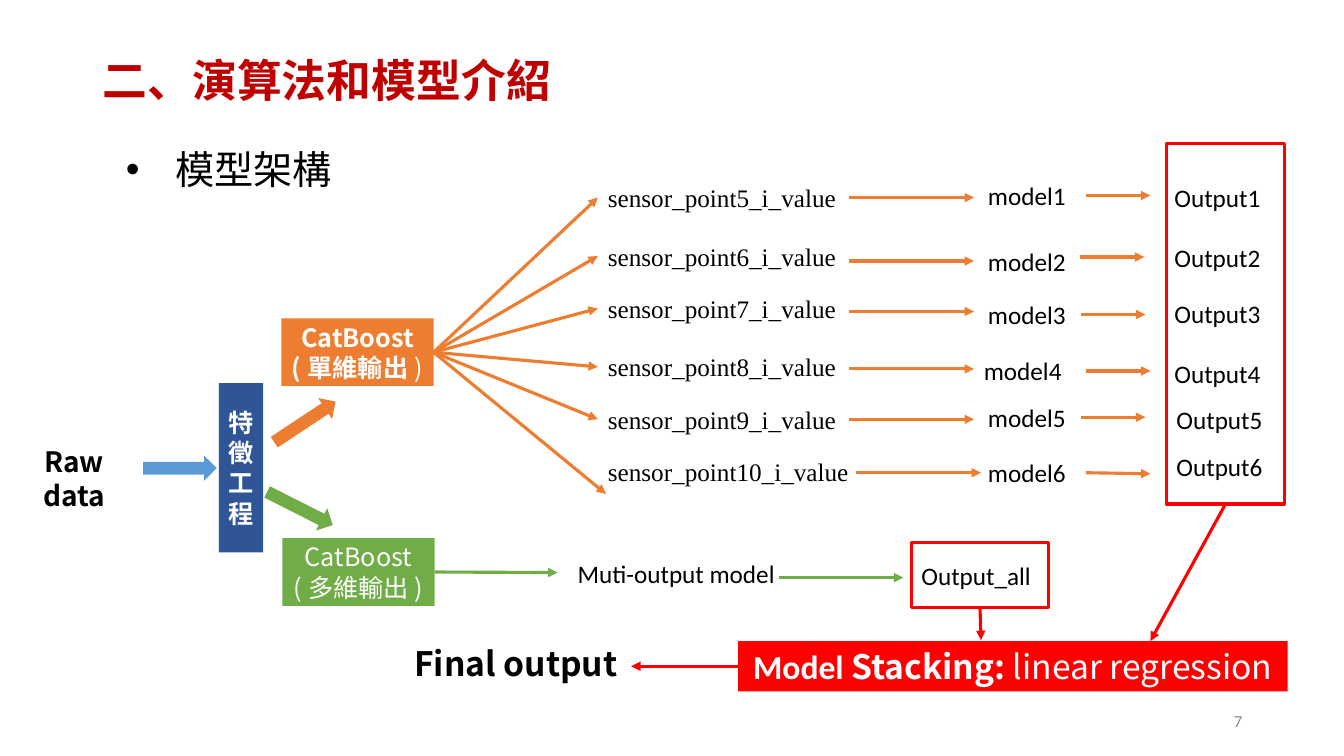
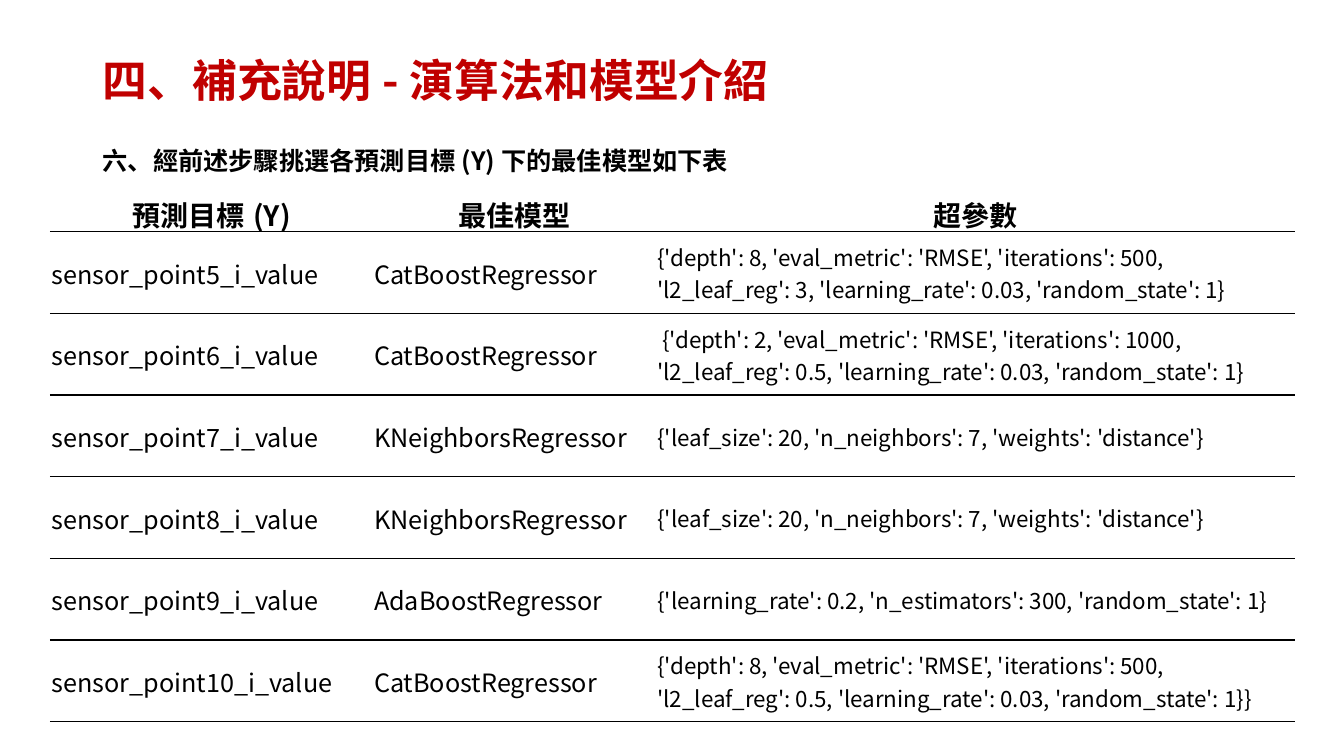
"""Build two slides: a model architecture diagram and a table of the best models."""
from lxml import etree
from pptx import Presentation
from pptx.dml.color import RGBColor
from pptx.enum.shapes import MSO_CONNECTOR, MSO_SHAPE
from pptx.enum.text import MSO_ANCHOR, PP_ALIGN
from pptx.oxml.ns import qn
from pptx.util import Inches, Pt

RECTANGLE, ARROW = MSO_SHAPE.RECTANGLE, MSO_SHAPE.RIGHT_ARROW
STRAIGHT = MSO_CONNECTOR.STRAIGHT
LEFT, CENTER, RIGHT = PP_ALIGN.LEFT, PP_ALIGN.CENTER, PP_ALIGN.RIGHT
TOP, MIDDLE = MSO_ANCHOR.TOP, MSO_ANCHOR.MIDDLE
LEFT_SIDE, BOTTOM_SIDE, RIGHT_SIDE = 1, 2, 3

SANS, LATIN, SERIF = "Noto Sans CJK SC", "Calibri", "Times New Roman"
BLACK, WHITE, GRAY = "000000", "FFFFFF", "8C8C8C"
TITLE_RED, RED, ORANGE, GREEN = "C00000", "FF0000", "ED7D31", "70AD47"
NAVY, BLUE = "2F5597", "5B9BD5"
color = RGBColor.from_string


def write(frame, text, size=18, font=SANS, ink=BLACK, bold=False, align=LEFT, anchor=TOP):
    """Fill a text frame, one paragraph per line of text."""
    frame.word_wrap = True
    frame.vertical_anchor = anchor
    frame.text = text
    for paragraph in frame.paragraphs:
        paragraph.alignment = align
        paragraph.font.size = Pt(size)
        paragraph.font.name = font
        paragraph.font.bold = bold
        paragraph.font.color.rgb = color(ink)
        properties = paragraph._p.pPr.find(qn("a:defRPr"))
        etree.SubElement(properties, qn("a:ea"), typeface=font)


def connect(slide, start, end, ink, source=None, target=None):
    """Draw an arrow, joined to (shape, side) pairs where given."""
    points = [Inches(value) for value in (*start, *end)]
    connector = slide.shapes.add_connector(STRAIGHT, *points)
    if source:
        connector.begin_connect(*source)
    if target:
        connector.end_connect(*target)
    connector.line.color.rgb = color(ink)
    connector.line.width = Pt(2.25)
    etree.SubElement(connector.line._get_or_add_ln(), qn("a:tailEnd"), type="triangle")
    etree.SubElement(connector._element.spPr, qn("a:effectLst"))


presentation = Presentation()
presentation.slide_width = Inches(13.33)
presentation.slide_height = Inches(7.5)

slides = []
for title in ("二、演算法和模型介紹", "四、補充說明-演算法和模型介紹"):
    slide = presentation.slides.add_slide(presentation.slide_layouts[6])
    box = slide.shapes.add_textbox(Inches(0.92), Inches(0.25), Inches(11.5), Inches(1.14))
    write(box.text_frame, title, 32, ink=TITLE_RED, bold=True, anchor=MIDDLE)
    box.text_frame.paragraphs[0].line_spacing = 0.9
    slides.append(slide)
diagram, summary = slides

blocks = {}
for name, kind, position, rotation, fill, outline in (
    ("single", RECTANGLE, (2.79, 3.16, 1.51, 0.67), 0, ORANGE, None),
    ("features", RECTANGLE, (2.17, 3.8, 0.44, 1.68), 0, NAVY, None),
    ("multi", RECTANGLE, (2.8, 5.34, 1.51, 0.67), 0, GREEN, None),
    ("stacking", RECTANGLE, (7.32, 6.36, 5.45, 0.5), 0, RED, None),
    ("outputs", RECTANGLE, (11.57, 1.42, 1.17, 3.58), 0, None, RED),
    ("output_all", RECTANGLE, (9.04, 5.38, 1.36, 0.65), 0, None, RED),
    ("raw arrow", ARROW, (1.42, 4.52, 0.73, 0.25), 0, BLUE, None),
    ("single arrow", ARROW, (2.66, 4.06, 0.73, 0.25), 326.5, ORANGE, None),
    ("multi arrow", ARROW, (2.61, 4.92, 0.73, 0.25), 26.8, GREEN, None),
):
    shape = diagram.shapes.add_shape(kind, *[Inches(value) for value in position])
    shape.shadow.inherit = False
    shape.rotation = rotation
    if fill:
        shape.fill.solid()
        shape.fill.fore_color.rgb = color(fill)
    else:
        shape.fill.background()
    if outline:
        shape.line.color.rgb = color(outline)
        shape.line.width = Pt(2.25)
    else:
        shape.line.fill.background()
    blocks[name] = shape

for name, text, size, bold in (
    ("single", "CatBoost\n(單維輸出", 18, True),
    ("features", "特徵工程", 18, True),
    ("multi", "CatBoost\n(多維輸出)", 18, False),
    ("stacking", "Model ", 24, True),
):
    write(blocks[name].text_frame, text, size, ink=WHITE, bold=bold, align=CENTER, anchor=MIDDLE)

closing = blocks["single"].text_frame.paragraphs[1].add_run()
closing.text = ")"
closing.font.bold = False
stacking_line = blocks["stacking"].text_frame.paragraphs[0]
stacking_line.runs[0].font.name = LATIN
stacking_line.add_run().text = "Stacking: "
method = stacking_line.add_run()
method.text = "linear regression"
method.font.bold = False

labels = {}
for text, position, size, font, ink, bold, align, anchor in (
    ("7", (9.42, 6.95, 3, 0.4), 12, LATIN, GRAY, False, RIGHT, MIDDLE),
    ("模型架構", (1.15, 1.39, 11.82, 0.57), 28, SANS, BLACK, False, LEFT, TOP),
    ("Raw data", (0.03, 4.36, 1.41, 0.77), 20, SANS, BLACK, True, CENTER, TOP),
    ("Muti-output model", (5.63, 5.49, 2.28, 0.4), 18, LATIN, BLACK, False, LEFT, TOP),
    ("Output_all", (9.04, 5.51, 2.28, 0.4), 18, LATIN, BLACK, False, LEFT, TOP),
    ("Final output", (4.01, 6.33, 2.45, 0.5), 24, SANS, BLACK, True, LEFT, TOP),
):
    box = diagram.shapes.add_textbox(*[Inches(value) for value in position])
    write(box.text_frame, text, size, font, ink, bold, align, anchor)
    labels[text] = box

bullet = labels["模型架構"].text_frame.paragraphs[0]._p.pPr
bullet.set("marL", str(Inches(0.49)))
bullet.set("indent", str(-Inches(0.49)))
bullet.insert(0, etree.Element(qn("a:buFont"), typeface="Arial"))
bullet.insert(1, etree.Element(qn("a:buChar"), char="•"))

# Each row: label tops, then the start and height of both arrows.
for number, (sensor_top, model_left, model_top, output_left, output_top,
             feed_left, feed_y, result_left, result_y) in enumerate((
    (1.76, 9.7, 1.74, 11.55, 1.76, 8.42, 1.96, 10.77, 1.94),
    (2.34, 9.7, 2.39, 11.55, 2.36, 8.42, 2.59, 10.71, 2.55),
    (2.86, 9.7, 2.92, 11.55, 2.91, 8.42, 3.09, 10.72, 3.12),
    (3.44, 9.66, 3.48, 11.55, 3.51, 8.42, 3.66, 10.77, 3.68),
    (3.96, 9.7, 3.94, 11.57, 3.96, 8.42, 4.16, 10.72, 4.14),
    (4.48, 9.7, 4.49, 11.57, 4.43, 8.49, 4.69, 10.77, 4.7),
), start=1):
    row = []
    for text, left, top, width, font in (
        (f"sensor_point{number + 4}_i_value", 5.93, sensor_top, 2.61 if number == 6 else 2.49, SERIF),
        (f"model{number}", model_left, model_top, 1.07, LATIN),
        (f"Output{number}", output_left, output_top, 1.2, LATIN),
    ):
        box = diagram.shapes.add_textbox(Inches(left), Inches(top), Inches(width), Inches(0.4))
        write(box.text_frame, text, font=font)
        row.append(box)
    sensor, model, output = row
    connect(diagram, (4.3, 3.5), (6.01, 4.9), ORANGE, (blocks["single"], RIGHT_SIDE),
            (sensor, LEFT_SIDE) if number < 6 else None)
    connect(diagram, (feed_left, feed_y), (feed_left + 1.24, feed_y), ORANGE,
            (sensor, RIGHT_SIDE) if number in (1, 5) else None)
    connect(diagram, (result_left, result_y), (result_left + 0.64, result_y), ORANGE,
            (model, RIGHT_SIDE) if number in (1, 6) else None)

for start, end, ink, source in (
    ((4.31, 5.68), (5.53, 5.68), GREEN, (blocks["multi"], RIGHT_SIDE)),
    ((7.73, 5.73), (8.96, 5.73), GREEN, None),
    ((9.72, 6.03), (9.73, 6.35), RED, (blocks["output_all"], BOTTOM_SIDE)),
    ((12.16, 5), (11.41, 6.36), RED, (blocks["outputs"], BOTTOM_SIDE)),
    ((7.32, 6.61), (6.26, 6.61), RED, (blocks["stacking"], LEFT_SIDE)),
):
    connect(diagram, start, end, ink, source)

box = summary.shapes.add_textbox(Inches(0.92), Inches(1.39), Inches(11.13), Inches(0.4))
write(box.text_frame, "六、經前述步驟挑選各預測目標(Y)下的最佳模型如下表", bold=True)

neighbors = "{'leaf_size': 20, 'n_neighbors': 7, 'weights': 'distance'}"
rows = (
    ("預測目標(Y)", "最佳模型", "超參數"),
    ("sensor_point5_i_value", "CatBoostRegressor",
     "{'depth': 8, 'eval_metric': 'RMSE', 'iterations': 500, "
     "'l2_leaf_reg': 3, 'learning_rate': 0.03, 'random_state': 1}"),
    ("sensor_point6_i_value", "CatBoostRegressor",
     " {'depth': 2, 'eval_metric': 'RMSE', 'iterations': 1000, "
     "'l2_leaf_reg': 0.5, 'learning_rate': 0.03, 'random_state': 1}"),
    ("sensor_point7_i_value", "KNeighborsRegressor", neighbors),
    ("sensor_point8_i_value", "KNeighborsRegressor", neighbors),
    ("sensor_point9_i_value", "AdaBoostRegressor",
     "{'learning_rate': 0.2, 'n_estimators': 300, 'random_state': 1}"),
    ("sensor_point10_i_value", "CatBoostRegressor",
     "{'depth': 8, 'eval_metric': 'RMSE', 'iterations': 500, "
     "'l2_leaf_reg': 0.5, 'learning_rate': 0.03, 'random_state': 1}}"),
)
table = summary.shapes.add_table(
    len(rows), 3, Inches(0.5), Inches(1.91), Inches(12.33), Inches(5.26)).table
table.first_row = table.horz_banding = False
for column, width in zip(table.columns, (3.2, 2.81, 6.33)):
    column.width = Inches(width)
for row_index, texts in enumerate(rows):
    header = row_index == 0
    table.rows[row_index].height = Inches(0.39 if header else 0.81)
    for column_index, text in enumerate(texts):
        cell = table.cell(row_index, column_index)
        size = 20 if header else (18, 18, 16)[column_index]
        write(cell.text_frame, text, size, bold=header, align=CENTER if header else LEFT)
        cell.vertical_anchor = MIDDLE
        cell.margin_left = cell.margin_right = cell.margin_top = Inches(0.01)
        cell.margin_bottom = 0
        properties = cell._tc.get_or_add_tcPr()
        for side, ink in (("lnL", WHITE), ("lnR", WHITE),
                          ("lnT", WHITE if header else BLACK), ("lnB", BLACK)):
            border = etree.SubElement(properties, qn(f"a:{side}"), w=str(Pt(1)))
            fill = etree.SubElement(border, qn("a:solidFill"))
            etree.SubElement(fill, qn("a:srgbClr"), val=ink)
        cell.fill.background()

presentation.save("out.pptx")
